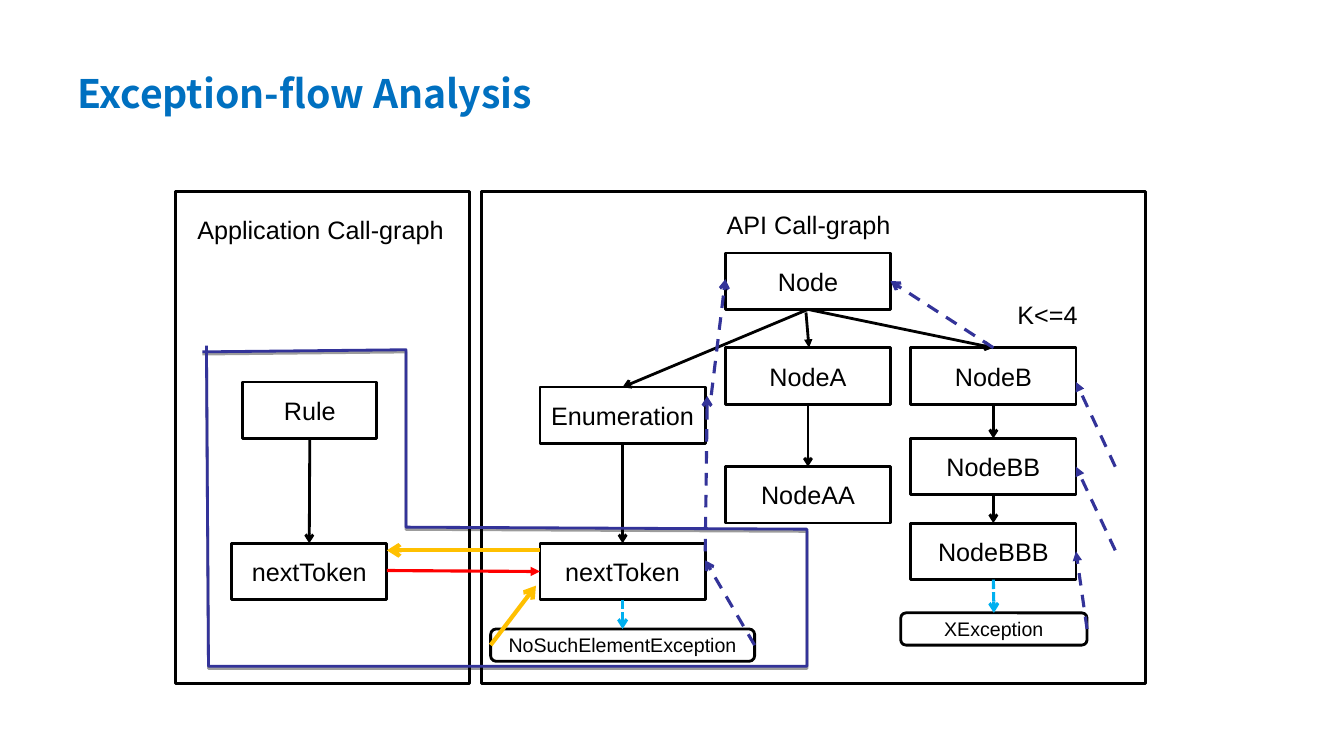
import pptx
from pptx.dml.color import RGBColor
from pptx.enum.dml import MSO_LINE
from pptx.enum.shapes import MSO_CONNECTOR, MSO_SHAPE
from pptx.enum.text import MSO_ANCHOR, PP_ALIGN
from pptx.oxml import parse_xml
from pptx.oxml.ns import nsdecls, qn
from pptx.util import Inches, Pt

BLACK = RGBColor(0x00, 0x00, 0x00)
WHITE = RGBColor(0xFF, 0xFF, 0xFF)
BLUE = RGBColor(0x00, 0x70, 0xC0)
CYAN = RGBColor(0x00, 0xB0, 0xF0)
NAVY = RGBColor(0x33, 0x33, 0x99)
GOLD = RGBColor(0xFF, 0xC0, 0x00)
RED = RGBColor(0xFF, 0x00, 0x00)

# text, (left, top, width, height), size, font, colour, bold, alignment
LABELS = [
    ("Exception-flow Analysis", (0.67, 0.3, 12, 1.25), 28,
     "Noto Sans CJK SC", BLUE, True, PP_ALIGN.LEFT),
    ("Application Call-graph", (1.86, 2.08, 2.73, 0.4), 18,
     "Arial", BLACK, False, PP_ALIGN.LEFT),
    ("API Call-graph", (5.87, 2.03, 4.31, 0.4), 18,
     "Arial", BLACK, False, PP_ALIGN.CENTER),
    ("K<=4", (10, 2.92, 1.15, 0.4), 18,
     "Arial", BLACK, False, PP_ALIGN.LEFT),
]
FRAMES = [(1.74, 1.9, 2.92, 4.88), (4.78, 1.9, 6.59, 4.88)]

BOX_W, BOX_H, PILL_H = 1.64, 0.56, 0.32
COL_ENUM, COL_A, COL_B = 5.36, 7.2, 9.04
# key: text, left, top, width
METHODS = {
    "rule": ("Rule", 2.41, 3.79, 1.33),
    "app next": ("nextToken", 2.3, 5.39, 1.54),
    "enum": ("Enumeration", COL_ENUM, 3.84, BOX_W),
    "api next": ("nextToken", COL_ENUM, 5.39, BOX_W),
    "node": ("Node", COL_A, 2.51, BOX_W),
    "a": ("NodeA", COL_A, 3.45, BOX_W),
    "aa": ("NodeAA", COL_A, 4.63, BOX_W),
    "b": ("NodeB", COL_B, 3.45, BOX_W),
    "bb": ("NodeBB", COL_B, 4.35, BOX_W),
    "bbb": ("NodeBBB", COL_B, 5.19, BOX_W),
}
ERRORS = {
    "no such": ("NoSuchElementException", 4.87, 6.24, 2.62),
    "x": ("XException", 8.94, 6.08, 1.85),
}
CALLS = [("rule", "app next"), ("enum", "api next"), ("node", "enum"),
         ("node", "b"), ("a", "aa"), ("b", "bb"), ("bb", "bbb")]
THROWS = [("api next", "no such"), ("bbb", "x")]

# start, end, colour, width, dash, head
ARROWS = [
    ((8, 3.1), (8.03, 3.45), BLACK, 2, None, "triangle"),
    ((3.84, 5.66), (5.36, 5.67), RED, 2.25, None, "triangle"),
    ((4.87, 6.4), (5.32, 5.81), GOLD, 3, None, "arrow"),
    ((5.36, 5.46), (3.84, 5.46), GOLD, 3, None, "arrow"),
]
# start, end, head
FLOWS = [
    ((10.79, 6.24), (10.68, 5.47), "triangle"),
    ((11.07, 5.46), (10.68, 4.63), "triangle"),
    ((11.07, 4.63), (10.68, 3.79), "triangle"),
    ((9.86, 3.45), (8.84, 2.79), "arrow"),
    ((7.49, 6.4), (7, 5.56), "arrow"),
    ((7, 5.47), (7.02, 3.93), "arrow"),
    ((7.06, 3.92), (7.2, 2.77), "arrow"),
]
REGION = [(2.01, 3.49), (2.09, 3.49), (4.03, 3.47), (4.03, 5.23),
          (8.01, 5.25), (8.01, 6.61), (2.07, 6.61), (2.05, 3.43)]
SHADOW = (f'<a:effectLst {nsdecls("a")}>'
          '<a:outerShdw dist="20320" dir="5400000" rotWithShape="0">'
          '<a:srgbClr val="000000"><a:alpha val="38000"/></a:srgbClr>'
          '</a:outerShdw></a:effectLst>')


def write(shape, text, size, font="Arial", color=BLACK, bold=False,
          align=PP_ALIGN.CENTER):
    frame = shape.text_frame
    frame.text = text
    frame.vertical_anchor = MSO_ANCHOR.MIDDLE
    para = frame.paragraphs[0]
    para.alignment = align
    style = para.runs[0].font
    style.size, style.name, style.bold = Pt(size), font, bold
    style.color.rgb = color


def add_box(shapes, kind, area):
    box = shapes.add_shape(kind, *map(Inches, area))
    box.shadow.inherit = False
    box.fill.solid()
    box.fill.fore_color.rgb = WHITE
    box.line.color.rgb = BLACK
    box.line.width = Pt(2)
    box.text_frame.word_wrap = False
    return box


def add_arrow(shapes, start, end, color, width, dash, head):
    link = shapes.add_connector(MSO_CONNECTOR.STRAIGHT,
                                *map(Inches, (*start, *end)))
    link.line.color.rgb = color
    link.line.width = Pt(width)
    if dash:
        link.line.dash_style = dash
    props = link.element.spPr
    props.find(qn("a:ln")).append(
        parse_xml(f'<a:tailEnd {nsdecls("a")} type="{head}"/>'))
    props.append(parse_xml(f'<a:effectLst {nsdecls("a")}/>'))


def add_region(shapes):
    points = [tuple(map(Inches, point)) for point in REGION]
    builder = shapes.build_freeform(*points[0])
    builder.add_line_segments(points[1:], close=False)
    region = builder.convert_to_shape()
    region.fill.background()
    region.line.color.rgb = NAVY
    region.line.width = Pt(2)
    region.element.spPr.append(parse_xml(SHADOW))


def main():
    deck = pptx.Presentation()
    deck.slide_width, deck.slide_height = Inches(13.34), Inches(7.5)
    shapes = deck.slides.add_slide(deck.slide_layouts[6]).shapes

    for area in FRAMES:
        add_box(shapes, MSO_SHAPE.RECTANGLE, area)
    for text, area, *style in LABELS:
        label = shapes.add_textbox(*map(Inches, area))
        label.text_frame.word_wrap = True
        write(label, text, *style)

    tops, ends = {}, {}
    for group, kind, high, size in (
            (METHODS, MSO_SHAPE.RECTANGLE, BOX_H, 18),
            (ERRORS, MSO_SHAPE.ROUNDED_RECTANGLE, PILL_H, 14)):
        for key, (text, left, top, wide) in group.items():
            write(add_box(shapes, kind, (left, top, wide, high)), text, size)
            tops[key] = (left + wide / 2, top)
            ends[key] = (left + wide / 2, top + high)

    for pairs, style in (
            (CALLS, (BLACK, 2, None, "arrow")),
            (THROWS, (CYAN, 2.25, MSO_LINE.SQUARE_DOT, "arrow"))):
        for source, target in pairs:
            add_arrow(shapes, ends[source], tops[target], *style)
    for start, end, head in FLOWS:
        add_arrow(shapes, start, end, NAVY, 2.25, MSO_LINE.DASH, head)
    for arrow in ARROWS:
        add_arrow(shapes, *arrow)
    add_region(shapes)
    deck.save("out.pptx")


if __name__ == "__main__":
    main()
